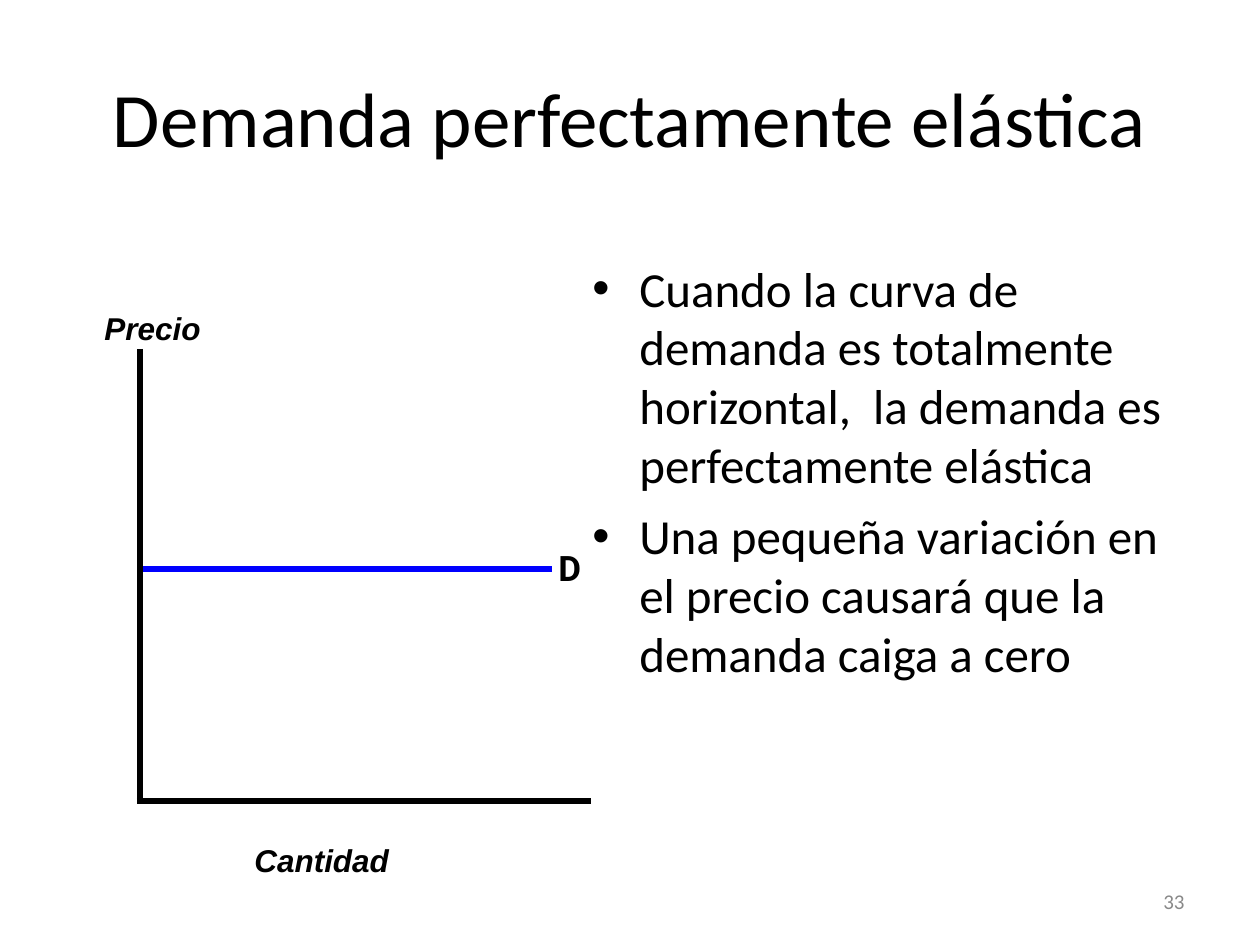
from pptx import Presentation
from pptx.dml.color import RGBColor
from pptx.enum.shapes import MSO_CONNECTOR
from pptx.enum.text import MSO_ANCHOR, MSO_AUTO_SIZE, PP_ALIGN
from pptx.oxml.ns import qn
from pptx.util import Pt
from lxml import etree

BLACK = RGBColor(0, 0, 0)
BLUE = RGBColor(0, 0, 255)
GRAY = RGBColor(0x89, 0x89, 0x89)
WHITE = RGBColor(255, 255, 255)


def px(length):
    return round(length * 914400 / 126)


def add_run(paragraph, text, size, font="Calibri", color=BLACK, bold=False, italic=False):
    run = paragraph.add_run()
    run.text = text
    run.font.size = Pt(size)
    run.font.name = font
    run.font.color.rgb = color
    run.font.bold = bold
    run.font.italic = italic


presentation = Presentation()
presentation.slide_width, presentation.slide_height = px(1260), px(945)
slide = presentation.slides.add_slide(presentation.slide_layouts[5])
slide.background.fill.solid()
slide.background.fill.fore_color.rgb = WHITE

# Title
title = slide.shapes.title
title.left, title.top, title.width, title.height = px(63), px(38), px(1134), px(157)
title.text_frame.vertical_anchor = MSO_ANCHOR.MIDDLE
paragraph = title.text_frame.paragraphs[0]
paragraph.alignment = PP_ALIGN.CENTER
add_run(paragraph, "Demanda perfectamente elástica", 44)

# Bulleted explanation
points = [
    "Cuando la curva de demanda es totalmente horizontal,  la demanda es perfectamente elástica",
    "Una pequeña variación en el precio causará que la demanda caiga a cero",
]
body = slide.shapes.add_textbox(px(580), px(252), px(617), px(592))
frame = body.text_frame
frame.word_wrap = True
for index, point in enumerate(points):
    paragraph = frame.add_paragraph() if index else frame.paragraphs[0]
    paragraph.space_before = Pt(7)
    properties = paragraph._p.get_or_add_pPr()
    properties.set("marL", str(px(47)))
    properties.set("indent", str(-px(47)))
    etree.SubElement(properties, qn("a:buFont"), typeface="Arial")
    etree.SubElement(properties, qn("a:buChar"), char="•")
    add_run(paragraph, point, 28)

# Demand curve and axes: start, end, colour
lines = [
    (140, 569, 552, 569, BLUE),
    (140, 349, 140, 803, BLACK),
    (137, 801, 591, 801, BLACK),
]
for x1, y1, x2, y2, color in lines:
    line = slide.shapes.add_connector(MSO_CONNECTOR.STRAIGHT, px(x1), px(y1), px(x2), px(y2))
    line.line.color.rgb = color
    line.line.width = Pt(3)
    etree.SubElement(line._element.spPr, qn("a:effectLst"))

# Axis and curve labels: text, box, size, font, italic
labels = [
    ("Cantidad", 242, 835, 162, 50, 18, "Arial", True),
    ("Precio", 92, 303, 130, 50, 18, "Arial", True),
    ("D", 546, 540, 52, 55, 20, "Roboto", False),
]
for text, left, top, width, height, size, font, italic in labels:
    label = slide.shapes.add_textbox(px(left), px(top), px(width), px(height))
    label.text_frame.word_wrap = False
    label.text_frame.auto_size = MSO_AUTO_SIZE.SHAPE_TO_FIT_TEXT
    add_run(label.text_frame.paragraphs[0], text, size, font, bold=True, italic=italic)

# Slide number
number = slide.shapes.add_textbox(px(903), px(876), px(294), px(50))
number.text_frame.word_wrap = True
number.text_frame.vertical_anchor = MSO_ANCHOR.MIDDLE
paragraph = number.text_frame.paragraphs[0]
paragraph.alignment = PP_ALIGN.RIGHT
add_run(paragraph, "33", 12, color=GRAY)

presentation.save("out.pptx")
